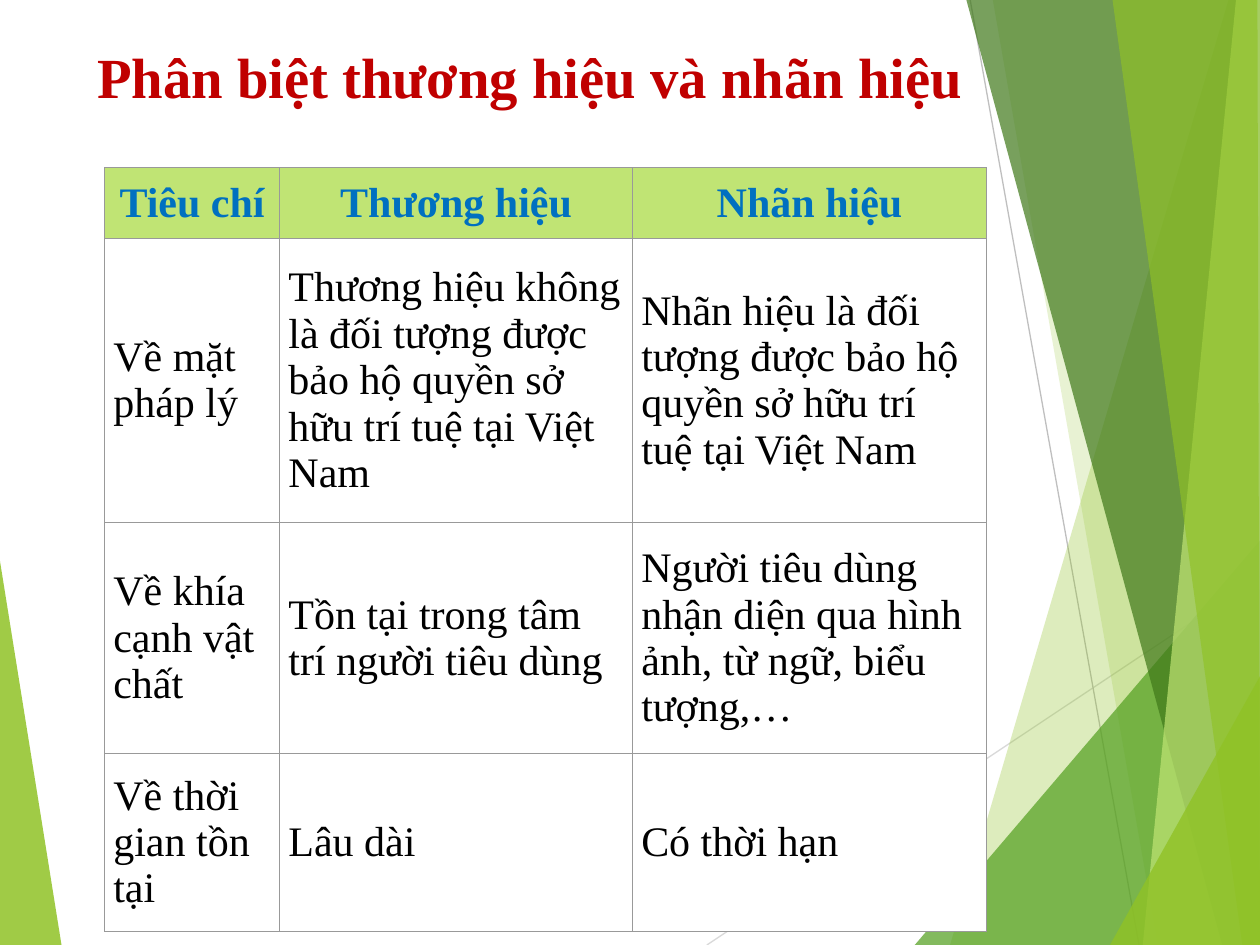
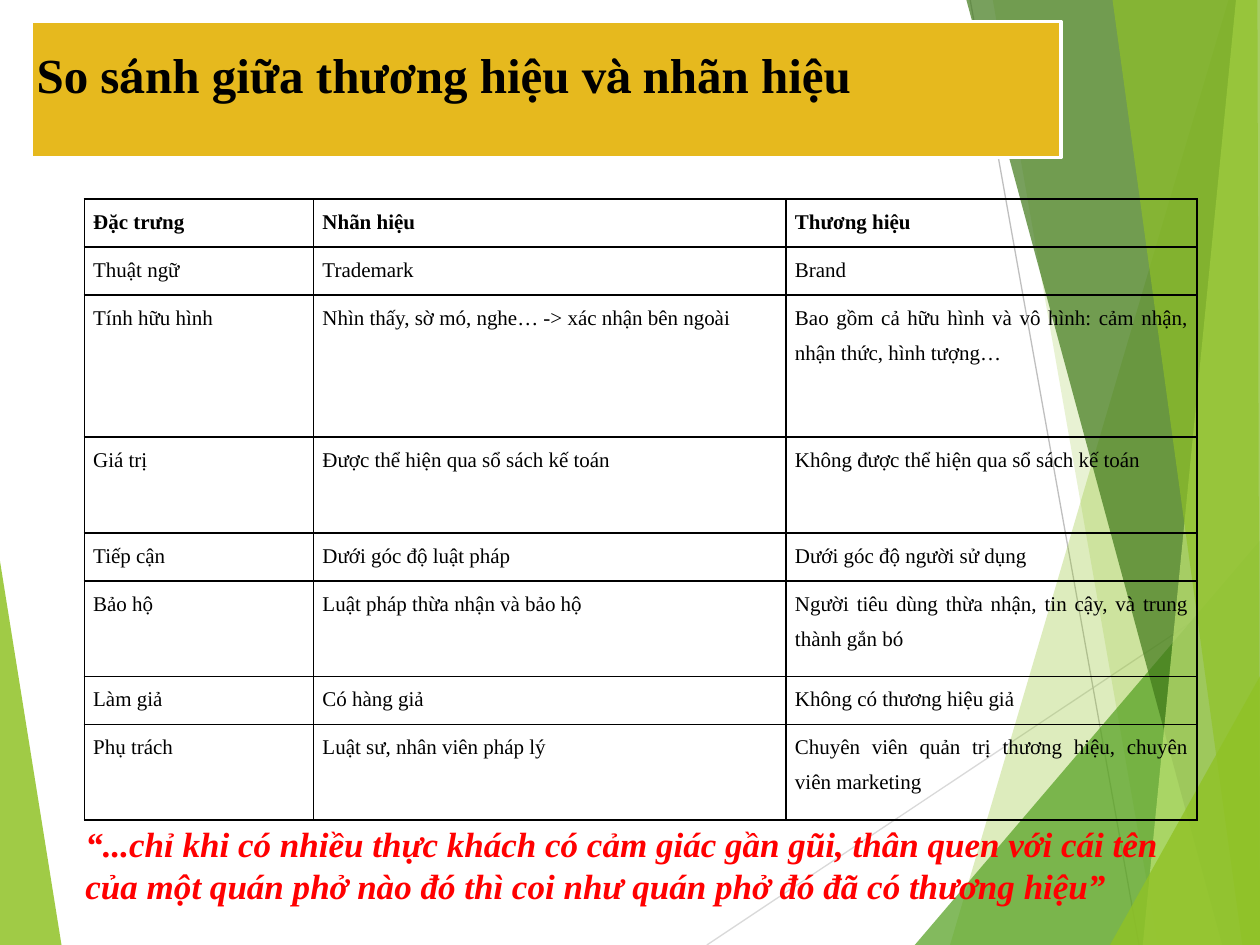
from dataclasses import dataclass

from lxml import etree
from pptx import Presentation
from pptx.dml.color import RGBColor
from pptx.enum import shapes, text
from pptx.oxml import ns
from pptx.util import Inches, Pt


@dataclass(frozen=True)
class Theme:
    font: str = "Times New Roman"
    accent_font: str = "Cambria"
    lime: str = "90C226"
    green: str = "54A021"
    forest: str = "3F7819"
    pale_lime: str = "C0E474"
    gold: str = "E6B91E"
    white: str = "FFFFFF"
    black: str = "000000"
    crimson: str = "C00000"
    red: str = "FF0000"
    blue: str = "0070C0"
    light_gray: str = "D9D9D9"
    mid_gray: str = "BFBFBF"
    grid_gray: str = "999999"
    title_size: float = 32.4
    banner_size: float = 28
    large_size: float = 24
    quote_size: float = 20
    small_size: float = 12


THEME = Theme()

# Facets of the backdrop: colour, opacity in percent, corners in inches
LEFT_FACET = (THEME.lime, 85, [(-0.01, 4.39), (0.49, 7.51), (-0.01, 7.5)])
RIGHT_FACETS = [
    (THEME.lime, 30, [(9.75, 0), (7.54, 7.5), (10.02, 7.5), (10.01, 0)]),
    (THEME.lime, 20, [(7.88, 0), (9.19, 7.5), (10.01, 7.5), (10.01, 0)]),
    (THEME.green, 72, [(7.26, 7.5), (10, 4.29), (10.01, 7.5)]),
    (THEME.forest, 70, [(7.67, 0), (9.7, 7.5), (10.01, 7.5), (10.01, 0)]),
    (THEME.pale_lime, 70, [(9.81, 0), (9.07, 7.5), (10.01, 7.5), (10, 0)]),
    (THEME.lime, 65, [(8.83, 0), (9.86, 7.5), (10, 7.5), (9.98, 0)]),
    (THEME.lime, 80, [(8.81, 7.5), (10.01, 5.35), (10.01, 7.5)]),
]
RAYS = [
    (THEME.light_gray, (5.61, 7.5), (10.01, 4.57)),
    (THEME.mid_gray, (7.7, 0), (9.04, 7.5)),
]

DISTINCTION = [
    ("Tiêu chí", "Thương hiệu", "Nhãn hiệu"),
    ("Về mặt pháp lý",
     "Thương hiệu không là đối tượng được bảo hộ quyền sở hữu trí tuệ tại Việt Nam",
     "Nhãn hiệu là đối tượng được bảo hộ quyền sở hữu trí tuệ tại Việt Nam"),
    ("Về khía cạnh vật chất", "Tồn tại trong tâm trí người tiêu dùng",
     "Người tiêu dùng nhận diện qua hình ảnh, từ ngữ, biểu tượng,…"),
    ("Về thời gian tồn tại", "Lâu dài", "Có thời hạn"),
]
COMPARISON = [
    ("Đặc trưng", "Nhãn hiệu", "Thương hiệu"),
    ("Thuật ngữ", "Trademark", "Brand"),
    ("Tính hữu hình", "Nhìn thấy, sờ mó, nghe… -> xác nhận bên ngoài",
     "Bao gồm cả hữu hình và vô hình: cảm nhận, nhận thức, hình tượng…"),
    ("Giá trị", "Được thể hiện qua sổ sách kế toán",
     "Không được thể hiện qua sổ sách kế toán"),
    ("Tiếp cận", "Dưới góc độ luật pháp", "Dưới góc độ người sử dụng"),
    ("Bảo hộ", "Luật pháp thừa nhận và bảo hộ",
     "Người tiêu dùng thừa nhận, tin cậy, và trung thành gắn bó"),
    ("Làm giả", "Có hàng giả", "Không có thương hiệu giả"),
    ("Phụ trách", "Luật sư, nhân viên pháp lý",
     "Chuyên viên quản trị thương hiệu, chuyên viên marketing"),
]
QUOTE = ("“...chỉ khi có nhiều thực khách có cảm giác gần gũi, thân quen với cái tên "
         "của một quán phở nào đó thì coi như quán phở đó đã có thương hiệu”")


def rgb(color):
    return RGBColor.from_string(color)


def style_font(font, size, color, bold=False, italic=False):
    font.name, font.size, font.bold, font.italic = THEME.font, Pt(size), bold, italic
    font.color.rgb = rgb(color)


def set_margins(target, left, top, right, bottom):
    target.margin_left, target.margin_top = Inches(left), Inches(top)
    target.margin_right, target.margin_bottom = Inches(right), Inches(bottom)


# Backdrop
def add_facet(group, color, opacity, corners):
    points = [(Inches(x), Inches(y)) for x, y in corners]
    builder = group.shapes.build_freeform(*points[0])
    builder.add_line_segments(points[1:])
    shape = builder.convert_to_shape()
    shape.shadow.inherit = False
    shape.fill.solid()
    shape.fill.fore_color.rgb = rgb(color)
    fill_color = next(shape.element.spPr.iter(ns.qn("a:srgbClr")))
    etree.SubElement(fill_color, ns.qn("a:alpha"), val=str(opacity * 1000))
    shape.line.fill.background()


def add_ray(group, color, start, end):
    ray = group.shapes.add_connector(
        shapes.MSO_CONNECTOR.STRAIGHT, *(Inches(value) for value in start + end))
    ray.line.color.rgb = rgb(color)
    ray.line.width = Pt(0.75)
    etree.SubElement(ray.element.spPr, ns.qn("a:effectLst"))


def add_backdrop(slide):
    """Draw the facets once and hand them to the layout that the slides share."""
    group = slide.shapes.add_group_shape()
    add_facet(group, *LEFT_FACET)
    for ray in RAYS:
        add_ray(group, *ray)
    for facet in RIGHT_FACETS:
        add_facet(group, *facet)
    for number, node in enumerate(group.element.iter(ns.qn("p:cNvPr")), 100):
        node.set("id", str(number))
    slide.slide_layout.shapes.element.insert(2, group.element)


# Titles
def place_title(slide, box, runs, size, color, margins):
    title = slide.shapes.title
    title.left, title.top, title.width, title.height = map(Inches, box)
    frame = title.text_frame
    frame.auto_size = text.MSO_AUTO_SIZE.NONE
    frame.word_wrap = False
    frame.vertical_anchor = text.MSO_ANCHOR.TOP
    set_margins(frame, *margins)
    paragraph = frame.paragraphs[0]
    paragraph.alignment = text.PP_ALIGN.LEFT
    style_font(paragraph.font, size, color, bold=True)
    for words, font_name in runs:
        run = paragraph.add_run()
        run.text = words
        run.font.name = font_name
    return title


# Tables
def set_borders(cell, color, width):
    properties = cell._tc.get_or_add_tcPr()
    for index, side in enumerate(("lnL", "lnR", "lnT", "lnB")):
        line = etree.Element(ns.qn(f"a:{side}"), w=str(Pt(width)))
        fill = etree.SubElement(line, ns.qn("a:solidFill"))
        etree.SubElement(fill, ns.qn("a:srgbClr"), val=color)
        properties.insert(index, line)


def add_grid(slide, box, rows, widths, heights, border, style_cell):
    frame = slide.shapes.add_table(len(rows), len(widths), *map(Inches, box))
    table = frame.table
    table.first_row = table.horz_banding = False
    for column, width in zip(table.columns, widths):
        column.width = Inches(width)
    for row, height, words in zip(table.rows, heights, rows):
        row.height = Inches(height)
        for cell, value in zip(row.cells, words):
            cell.text = value
            style_cell(cell, cell.text_frame.paragraphs[0], words is rows[0])
            set_borders(cell, *border)


def style_distinction_cell(cell, paragraph, header):
    set_margins(cell, 0.07, 0.07, 0.07, 0.07)
    cell.vertical_anchor = text.MSO_ANCHOR.MIDDLE
    cell.fill.solid()
    cell.fill.fore_color.rgb = rgb(THEME.pale_lime if header else THEME.white)
    paragraph.alignment = text.PP_ALIGN.CENTER if header else text.PP_ALIGN.LEFT
    style_font(paragraph.font, THEME.large_size,
               THEME.blue if header else THEME.black, bold=header)


def style_comparison_cell(cell, paragraph, header):
    set_margins(cell, 0.07, 0, 0.07, 0)
    cell.fill.background()
    paragraph.alignment = text.PP_ALIGN.JUSTIFY
    paragraph.line_spacing = 1.5
    style_font(paragraph.font, THEME.small_size, THEME.black, bold=header)


# Closing quote
def add_quote(slide, box, words):
    frame = slide.shapes.add_textbox(*map(Inches, box)).text_frame
    frame.word_wrap = True
    paragraph = frame.paragraphs[0]
    paragraph.text = words
    style_font(paragraph.font, THEME.quote_size, THEME.red, bold=True, italic=True)


# Slides
def build_distinction(slide):
    place_title(slide, (0.67, 0.25, 7.08, 1.08),
                [("Phân biệt thương hiệu và nhãn hiệu", THEME.font)],
                THEME.title_size, THEME.crimson, (0.1, 0.08, 0.1, 0.05))
    add_grid(slide, (0.83, 1.33, 7, 6.06), DISTINCTION, (1.39, 2.8, 2.81),
             (0.56, 2.26, 1.83, 1.41), (THEME.grid_gray, 0.5), style_distinction_cell)


def build_comparison(slide):
    banner = place_title(
        slide, (0.25, 0.17, 8.17, 1.08),
        [("So s", THEME.font), ("á", THEME.accent_font),
         ("nh giữa thương hiệu v", THEME.font), ("à ", THEME.accent_font),
         ("nhãn hiệu", THEME.font)],
        THEME.banner_size, THEME.black, (0.04, 0.18, 0, 0))
    banner.fill.solid()
    banner.fill.fore_color.rgb = rgb(THEME.gold)
    banner.line.color.rgb = rgb(THEME.white)
    banner.line.width = Pt(2)
    single, double, triple = 0.38, 0.76, 1.13
    add_grid(slide, (0.67, 1.58, 8.83, 4.92), COMPARISON, (1.82, 3.75, 3.26),
             (single, single, triple, double, single, double, single, double),
             (THEME.black, 1), style_comparison_cell)
    add_quote(slide, (0.58, 6.48, 9, 0.77), QUOTE)


def main():
    presentation = Presentation()
    presentation.slide_width, presentation.slide_height = Inches(10), Inches(7.5)
    title_only = presentation.slide_layouts[5]
    distinction, comparison = (presentation.slides.add_slide(title_only) for _ in range(2))
    add_backdrop(distinction)
    build_distinction(distinction)
    build_comparison(comparison)
    presentation.save("out.pptx")


if __name__ == "__main__":
    main()
